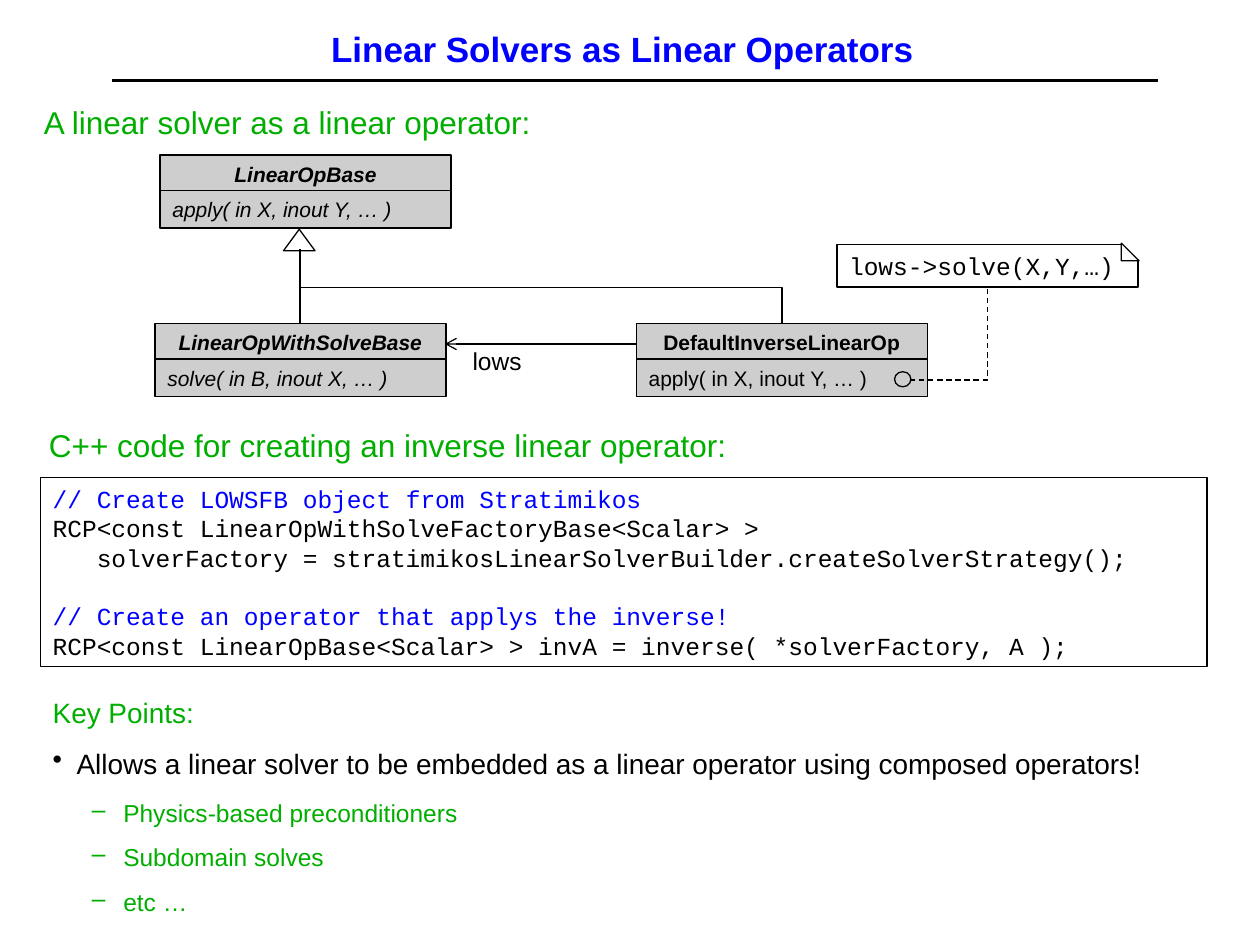
from lxml import etree
from pptx import Presentation
from pptx.dml.color import RGBColor
from pptx.enum.dml import MSO_LINE
from pptx.enum.shapes import MSO_CONNECTOR, MSO_SHAPE
from pptx.enum.text import MSO_ANCHOR, PP_ALIGN
from pptx.oxml.ns import qn
from pptx.util import Inches, Pt

BLACK = RGBColor(0, 0, 0)
WHITE = RGBColor(255, 255, 255)
GRAY = RGBColor(0xCE, 0xCE, 0xCE)
BLUE = RGBColor(0, 0, 255)
GREEN = RGBColor(0, 0xAE, 0)
SANS, MONO = "Arial", "Courier New"
LEFT, CENTER = PP_ALIGN.LEFT, PP_ALIGN.CENTER
TOP, MIDDLE = MSO_ANCHOR.TOP, MSO_ANCHOR.MIDDLE
RECT, OVAL = MSO_SHAPE.RECTANGLE, MSO_SHAPE.OVAL
TRIANGLE = MSO_SHAPE.ISOSCELES_TRIANGLE
STRAIGHT, ELBOW = MSO_CONNECTOR.STRAIGHT, MSO_CONNECTOR.ELBOW
DASH = MSO_LINE.DASH
TITLE_ONLY = 5


class Sheet:
    def __init__(self, slide):
        self.slide = slide
        self.shapes = slide.shapes

    def style(self, paragraph, text, size, color=BLACK, font=SANS, align=LEFT,
              bold=False, italic=False, after=0, before=0):
        paragraph.text = text
        paragraph.alignment = align
        paragraph.space_after = Pt(after)
        paragraph.space_before = Pt(before)
        face = paragraph.font
        face.name, face.size, face.bold, face.italic = font, Pt(size), bold, italic
        face.color.rgb = color

    def indent(self, paragraph, margin, first=0, bullet=None, color=BLACK):
        props = paragraph._p.get_or_add_pPr()
        props.set("marL", str(Inches(margin)))
        props.set("indent", str(Inches(first)))
        if bullet:
            bullet_color = etree.SubElement(props, qn("a:buClr"))
            etree.SubElement(bullet_color, qn("a:srgbClr")).set("val", str(color))
            etree.SubElement(props, qn("a:buChar")).set("char", bullet)
            defaults = props.find(qn("a:defRPr"))
            if defaults is not None:
                props.append(defaults)

    def title(self, text, left, top, width, height):
        heading = self.shapes.title
        heading.left, heading.top = Inches(left), Inches(top)
        heading.width, heading.height = Inches(width), Inches(height)
        heading.text_frame.vertical_anchor = MIDDLE
        self.style(heading.text_frame.paragraphs[0], text, 20, BLUE,
                   align=CENTER, bold=True)

    def paragraphs(self, frame, count):
        for _ in range(count - 1):
            frame.add_paragraph()
        return frame.paragraphs

    def text(self, left, top, width, height, wrap=False):
        box = self.shapes.add_textbox(Inches(left), Inches(top),
                                      Inches(width), Inches(height))
        box.text_frame.word_wrap = wrap
        return box.text_frame

    def label(self, text, left, top, width, height, size, color, **look):
        frame = self.text(left, top, width, height)
        self.style(frame.paragraphs[0], text, size, color, **look)

    def shape(self, kind, left, top, width, height, fill=None, line=0.75):
        item = self.shapes.add_shape(kind, Inches(left), Inches(top),
                                     Inches(width), Inches(height))
        self.paint(item, fill, line)
        item.text_frame.word_wrap = True
        item.text_frame.vertical_anchor = TOP
        return item.text_frame

    def paint(self, item, fill, line):
        item.shadow.inherit = False
        if fill is None:
            item.fill.background()
        else:
            item.fill.solid()
            item.fill.fore_color.rgb = fill
        if line:
            item.line.color.rgb = BLACK
            item.line.width = Pt(line)
        else:
            item.line.fill.background()

    def uml_class(self, left, top, name, operation, abstract=True):
        rows = ((top, name, CENTER, True), (top + 0.28, operation, LEFT, False))
        for row_top, text, align, bold in rows:
            frame = self.shape(RECT, left, row_top, 2.31, 0.3, GRAY)
            self.style(frame.paragraphs[0], text, 12, align=align,
                       bold=bold, italic=abstract)

    def connector(self, x1, y1, x2, y2, width=0.75, kind=STRAIGHT, dash=None,
                  arrow=False):
        link = self.shapes.add_connector(kind, Inches(x1), Inches(y1),
                                         Inches(x2), Inches(y2))
        link.line.color.rgb = BLACK
        link.line.width = Pt(width)
        if dash:
            link.line.dash_style = dash
        if arrow:
            etree.SubElement(link.line._get_or_add_ln(),
                             qn("a:tailEnd")).set("type", "arrow")
        etree.SubElement(link._element.spPr, qn("a:effectLst"))
        return link

    def elbow(self, left, top, width, height, turn, preset, flip=False, dash=None):
        link = self.connector(left, top, left + width, top + height,
                              kind=ELBOW, dash=dash)
        props = link._element.spPr
        frame = props.find(qn("a:xfrm"))
        frame.set("rot", str(turn * 60000))
        if flip:
            frame.set("flipH", "1")
        props.find(qn("a:prstGeom")).set("prst", preset)

    def folded_corner(self, left, top, side):
        self.shape(RECT, left, top - 0.03, 0.18, 0.16, WHITE, line=0)
        builder = self.shapes.build_freeform(Inches(left), Inches(top))
        builder.add_line_segments([(Inches(left), Inches(top + side)),
                                   (Inches(left + side), Inches(top + side))])
        self.paint(builder.convert_to_shape(), WHITE, 0.75)

    def code(self, lines, left, top, width, height):
        frame = self.shape(RECT, left, top, width, height)
        for paragraph, (text, color, margin, before) in zip(
                self.paragraphs(frame, len(lines)), lines):
            self.style(paragraph, text, 14, color, MONO, before=before)
            self.indent(paragraph, margin)

    def key_points(self, heading, point, examples, left, top, width, height):
        frame = self.text(left, top, width, height, wrap=True)
        lead, main, *rest = self.paragraphs(frame, 2 + len(examples))
        self.style(lead, heading, 16, GREEN, after=10)
        self.indent(lead, 0.38, -0.19)
        self.style(main, point, 16, after=10)
        self.indent(main, 0.38, -0.19, "•")
        for paragraph, example in zip(rest, examples):
            paragraph.level = 1
            self.style(paragraph, example, 14, GREEN, after=8.8)
            self.indent(paragraph, 0.75, -0.25, "–", GREEN)


def main():
    deck = Presentation()
    deck.slide_width, deck.slide_height = Inches(10), Inches(7.5)
    sheet = Sheet(deck.slides.add_slide(deck.slide_layouts[TITLE_ONLY]))

    sheet.title("Linear Solvers as Linear Operators", 0.69, 0.14, 8.5, 0.49)
    sheet.connector(0.89, 0.64, 9.19, 0.64, width=2)

    sheet.label("A linear solver as a linear operator:",
                0.25, 0.77, 4.08, 0.4, 18, GREEN)
    sheet.shape(TRIANGLE, 2.25, 1.82, 0.25, 0.17, WHITE)
    sheet.connector(2.38, 1.98, 2.38, 2.57)
    sheet.uml_class(1.23, 2.57, "LinearOpWithSolveBase", "solve( in B, inout X, … )")
    sheet.uml_class(1.27, 1.23, "LinearOpBase", "apply( in X, inout Y, … )")
    sheet.uml_class(5.05, 2.57, "DefaultInverseLinearOp",
                    "apply( in X, inout Y, … )", abstract=False)
    sheet.elbow(4, 0.37, 0.59, 3.82, 270, "bentConnector3", flip=True)
    sheet.connector(5.05, 2.73, 3.53, 2.73, arrow=True)
    sheet.label("lows", 3.65, 2.7, 0.59, 0.33, 14, BLACK, align=CENTER)

    note = sheet.shape(RECT, 6.64, 1.94, 2.39, 0.34, line=1)
    sheet.style(note.paragraphs[0], "lows->solve(X,Y,…)", 14, font=MONO)
    sheet.folded_corner(8.9, 1.93, 0.14)
    sheet.shape(OVAL, 7.1, 2.95, 0.13, 0.12)
    sheet.elbow(7.17, 2.35, 0.72, 0.61, 90, "bentConnector2", dash=DASH)

    sheet.label("C++ code for creating an inverse linear operator:",
                0.29, 3.33, 5.58, 0.4, 18, GREEN)
    sheet.code([
        ("// Create LOWSFB object from Stratimikos", BLUE, 0, 0),
        ("RCP<const LinearOpWithSolveFactoryBase<Scalar> >", BLACK, 0, 0),
        ("solverFactory = stratimikosLinearSolverBuilder.createSolverStrategy();",
         BLACK, 0.35, 0),
        ("// Create an operator that applys the inverse!", BLUE, 0, 16.8),
        ("RCP<const LinearOpBase<Scalar> > invA = inverse( *solverFactory, A );",
         BLACK, 0, 0),
    ], 0.32, 3.79, 9.26, 1.5)

    sheet.key_points(
        "Key Points:",
        "Allows a linear solver to be embedded as a linear operator using composed operators!",
        ("Physics-based preconditioners", "Subdomain solves", "etc …"),
        0.13, 5.47, 9.45, 1.85)
    deck.save("out.pptx")


if __name__ == "__main__":
    main()
